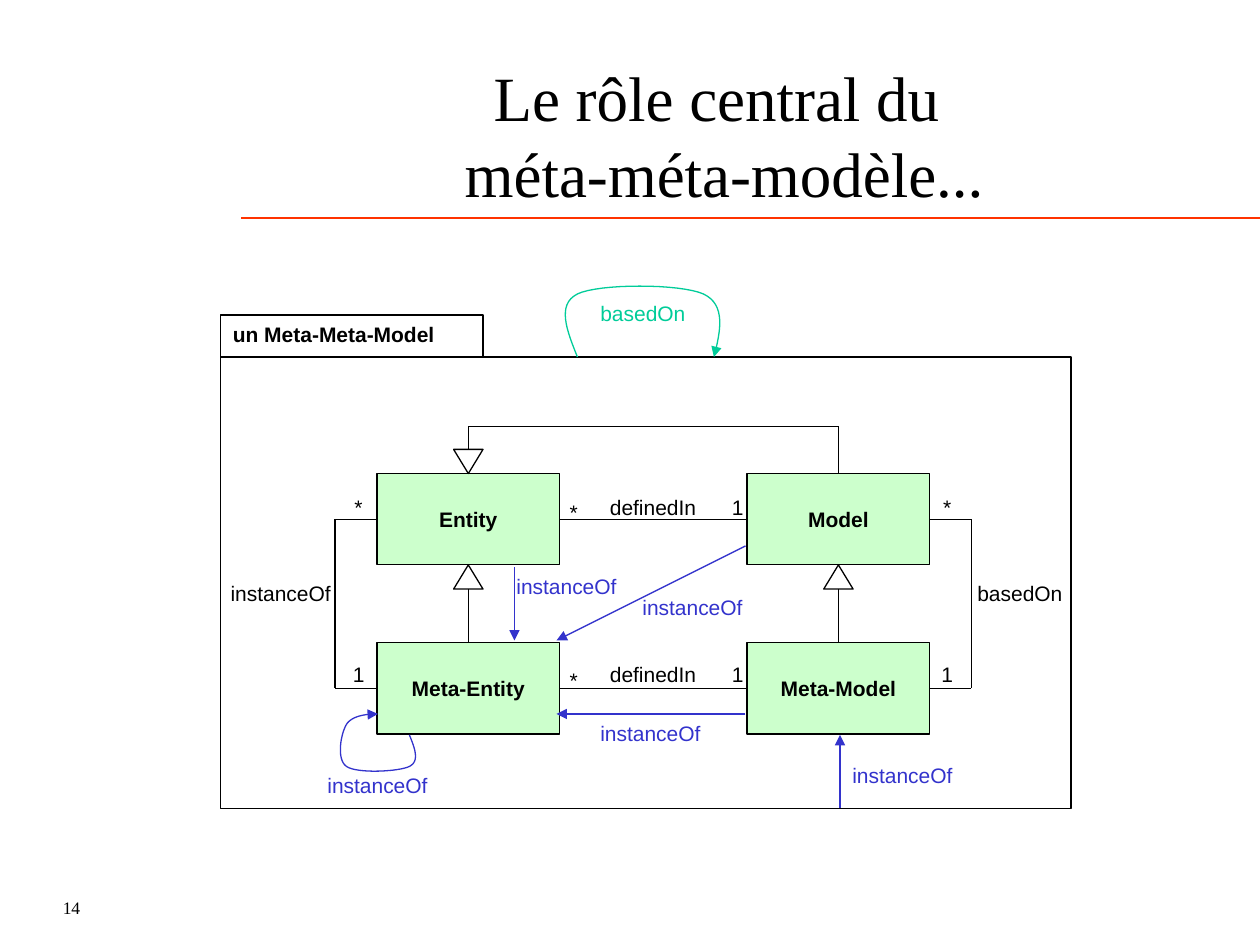
from lxml import etree
from pptx import Presentation
from pptx import util as u
from pptx.dml.color import RGBColor
from pptx.enum import shapes, text
from pptx.oxml import ns

COLORS = {"black": "000000", "white": "FFFFFF", "rule": "FF3300",
          "box": "CCFFCC", "teal": "00CC99", "blue": "3333CC"}
LEFT, CENTER, RIGHT = text.PP_ALIGN.LEFT, text.PP_ALIGN.CENTER, text.PP_ALIGN.RIGHT

presentation = Presentation()
presentation.slide_width, presentation.slide_height = u.Inches(10), u.Inches(7.5)
slide = presentation.slides.add_slide(presentation.slide_layouts[5])

# Grid of 120 columns by 90 rows
CELL = presentation.slide_width / 120


def cells(*values):
    return [round(value * CELL) for value in values]


def write(shape, words, color="black", align=CENTER, size=12, font="Arial", bold=False):
    shape.text_frame.text = words
    shape.text_frame.word_wrap = True
    paragraph = shape.text_frame.paragraphs[0]
    paragraph.alignment = align
    paragraph.font.size, paragraph.font.name = u.Pt(size), font
    paragraph.font.bold = bold
    paragraph.font.color.rgb = RGBColor.from_string(COLORS[color])


# Title
title = slide.shapes.title
title.left, title.top, title.width, title.height = cells(18, 5, 102, 15)
write(title, "Le rôle central du \vméta-méta-modèle...", size=36, font="Times New Roman")
title.text_frame.auto_size = text.MSO_AUTO_SIZE.NONE
title.text_frame.vertical_anchor = text.MSO_ANCHOR.TOP

# Slide number
number = slide.shapes.add_textbox(*cells(4.8, 84, 25, 6))
write(number, "14", align=LEFT, size=10, font="Times New Roman")
number.text_frame.vertical_anchor = text.MSO_ANCHOR.BOTTOM
number.text_frame.margin_bottom = u.Inches(0.21)

# Package frame, its tab and the four entity boxes
COLUMNS, ROWS = (35.9, 71.15), (45.1, 61.2)
BOX_WIDTH, BOX_HEIGHT = 17.4, 8.7
entity_x, model_x = (column + BOX_WIDTH / 2 for column in COLUMNS)
upper_y, lower_y = (row + BOX_HEIGHT / 2 for row in ROWS)
rectangles = [("", 21, 34, 81, 43, "white"),
              ("un Meta-Meta-Model", 21, 30, 25, 4, "white")]
names = (("Entity", "Model"), ("Meta-Entity", "Meta-Model"))
for row, row_names in zip(ROWS, names):
    for column, name in zip(COLUMNS, row_names):
        rectangles.append((name, column, row, BOX_WIDTH, BOX_HEIGHT, "box"))

boxes = {}
for name, *place, fill in rectangles:
    shape = slide.shapes.add_shape(shapes.MSO_SHAPE.RECTANGLE, *cells(*place))
    shape.shadow.inherit = False
    shape.fill.solid()
    shape.fill.fore_color.rgb = RGBColor.from_string(COLORS[fill])
    shape.line.color.rgb = RGBColor.from_string(COLORS["black"])
    shape.line.width = u.Pt(0.75)
    if name:
        write(shape, name, align=CENTER if fill == "box" else LEFT, bold=True)
    boxes[name] = shape
boxes["un Meta-Meta-Model"].text_frame.vertical_anchor = text.MSO_ANCHOR.TOP

# Inheritance triangles, each with its tip on a box
TRIANGLE_WIDTH, TRIANGLE_HEIGHT = 2.8, 2.3
box_bottom = ROWS[0] + BOX_HEIGHT
triangle_base = box_bottom + TRIANGLE_HEIGHT
for x, top, rotation in ((entity_x, box_bottom, 0), (model_x, box_bottom, 0),
                         (entity_x, ROWS[0] - TRIANGLE_HEIGHT, 180)):
    triangle = slide.shapes.add_shape(
        shapes.MSO_SHAPE.ISOSCELES_TRIANGLE,
        *cells(x - TRIANGLE_WIDTH / 2, top, TRIANGLE_WIDTH, TRIANGLE_HEIGHT))
    triangle.rotation = rotation
    triangle.shadow.inherit = False
    triangle.fill.background()
    triangle.line.color.rgb = RGBColor.from_string(COLORS["black"])
    triangle.line.width = u.Pt(0.75)

# Lines: start, end, colour, joined box and side at the start and at the end
left_x, right_x, roof_y = 31.9, 92.5, 40.6
box_right = COLUMNS[1] + BOX_WIDTH
lines = [
    ((23, 20.75), (120, 20.75), "rule", None, None),
    ((entity_x, triangle_base), (entity_x, ROWS[1]), "black", None, ("Meta-Entity", 0)),
    ((model_x, triangle_base), (model_x, ROWS[1]), "black", None, ("Meta-Model", 0)),
    ((entity_x, ROWS[0] - TRIANGLE_HEIGHT), (entity_x, roof_y), "black", None, None),
    ((model_x, ROWS[0]), (model_x, roof_y), "black", ("Model", 0), None),
    ((model_x, roof_y), (entity_x, roof_y), "black", None, None),
    ((left_x, upper_y), (left_x, lower_y), "black", None, None),
    ((right_x, upper_y), (right_x, lower_y), "black", None, None),
    ((80, 77), (80, 70), "blue", None, None),
    ((71, 52), (53, 61), "blue", None, None),
    ((49, 54), (49, 61), "blue", None, None),
    ((71, 68), (53, 68), "blue", None, None),
]
for y, (entity, model) in zip((upper_y, lower_y), names):
    lines += [
        ((COLUMNS[0] + BOX_WIDTH, y), (COLUMNS[1], y), "black", (entity, 3), (model, 1)),
        ((COLUMNS[0], y), (left_x, y), "black", (entity, 1), None),
        ((box_right, y), (right_x, y), "black", (model, 3), None),
    ]

arrows = []
for start, end, color, begin, finish in lines:
    connector = slide.shapes.add_connector(
        shapes.MSO_CONNECTOR.STRAIGHT, *cells(*start, *end))
    if begin:
        connector.begin_connect(boxes[begin[0]], begin[1])
    if finish:
        connector.end_connect(boxes[finish[0]], finish[1])
    connector.line.color.rgb = RGBColor.from_string(COLORS[color])
    connector.line.width = u.Pt(1 if color == "rule" else 0.75)
    etree.SubElement(connector.element.spPr, ns.qn("a:effectLst"))
    if color == "blue":
        arrows.append(connector)

# Self-reference loops: cubic curves sampled in short steps
STEPS = 16
loops = [
    ("teal", [(55, 34), (54, 31.5), (53, 29), (55, 28), (57, 27), (64.8, 27),
              (67, 28), (69.15, 29), (68.65, 31.5), (68, 34)]),
    ("blue", [(39, 70), (39.5, 71.25), (40, 72.5), (39, 73), (38, 73.5), (34, 73.7),
              (33, 73), (32, 72.3), (32.5, 69.8), (33, 69), (33.5, 68.2), (34.8, 68), (36, 68)]),
]
for color, controls in loops:
    points = []
    for first in range(0, len(controls) - 1, 3):
        a, b, c, d = controls[first:first + 4]
        for step in range(1, STEPS + 1):
            t = step / STEPS
            s = 1 - t
            points.append(cells(*(s**3 * a[i] + 3 * s * s * t * b[i]
                                  + 3 * s * t * t * c[i] + t**3 * d[i] for i in (0, 1))))
    builder = slide.shapes.build_freeform(*cells(*controls[0]))
    builder.add_line_segments(points, close=False)
    loop = builder.convert_to_shape()
    loop.shadow.inherit = False
    loop.fill.background()
    loop.line.color.rgb = RGBColor.from_string(COLORS[color])
    loop.line.width = u.Pt(0.75)
    arrows.append(loop)

# Arrowheads
for arrow in arrows:
    outline = arrow.element.spPr.find(ns.qn("a:ln"))
    etree.SubElement(outline, ns.qn("a:tailEnd"), type="triangle")

# Labels: words, left, top, width, alignment, colour
labels = [
    ("instanceOf", 19, 54.7, 13.7, RIGHT, "black"),
    ("basedOn", 91.9, 54.7, 12.8, LEFT, "black"),
    ("basedOn", 56, 28, 12, LEFT, "teal"),
]
for left, top in ((80, 72), (60, 56), (48, 54), (56, 68), (30, 73)):
    labels.append(("instanceOf", left, top, 13.7, LEFT, "blue"))
for top, outer in ((46.5, "*"), (62.45, "1")):
    labels += [
        ("definedIn", 53.3, top, 17.8, CENTER, "black"),
        ("1", 67.45, top, 5.6, CENTER, "black"),
        ("*", 51.85, top + 0.5, 5.6, CENTER, "black"),
        (outer, 31.35, top, 5.6, CENTER, "black"),
        (outer, 87.4, top, 5.6, CENTER, "black"),
    ]
for words, left, top, width, align, color in labels:
    label = slide.shapes.add_textbox(*cells(left, top, width, 3.6))
    write(label, words, color, align)

presentation.save("out.pptx")
